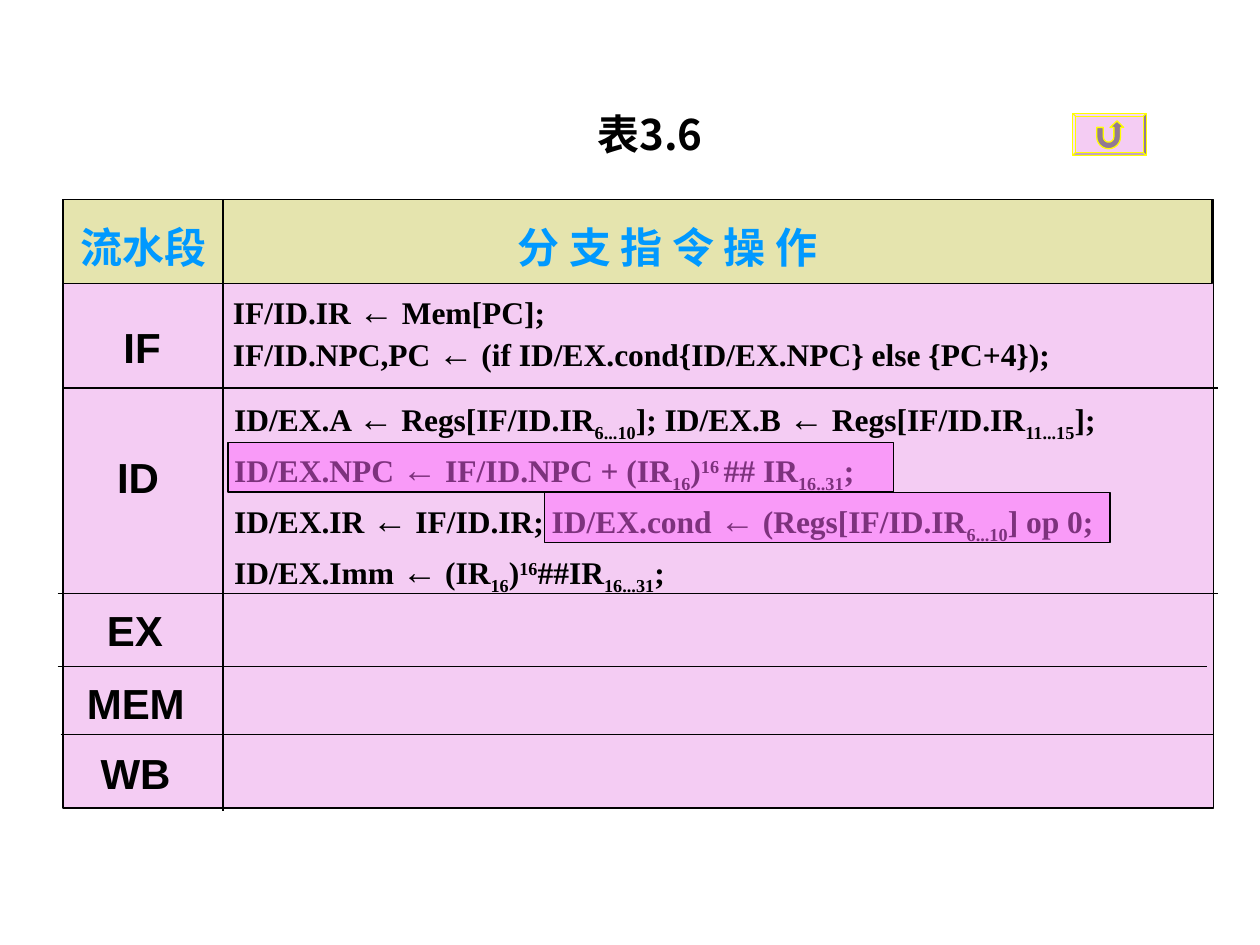
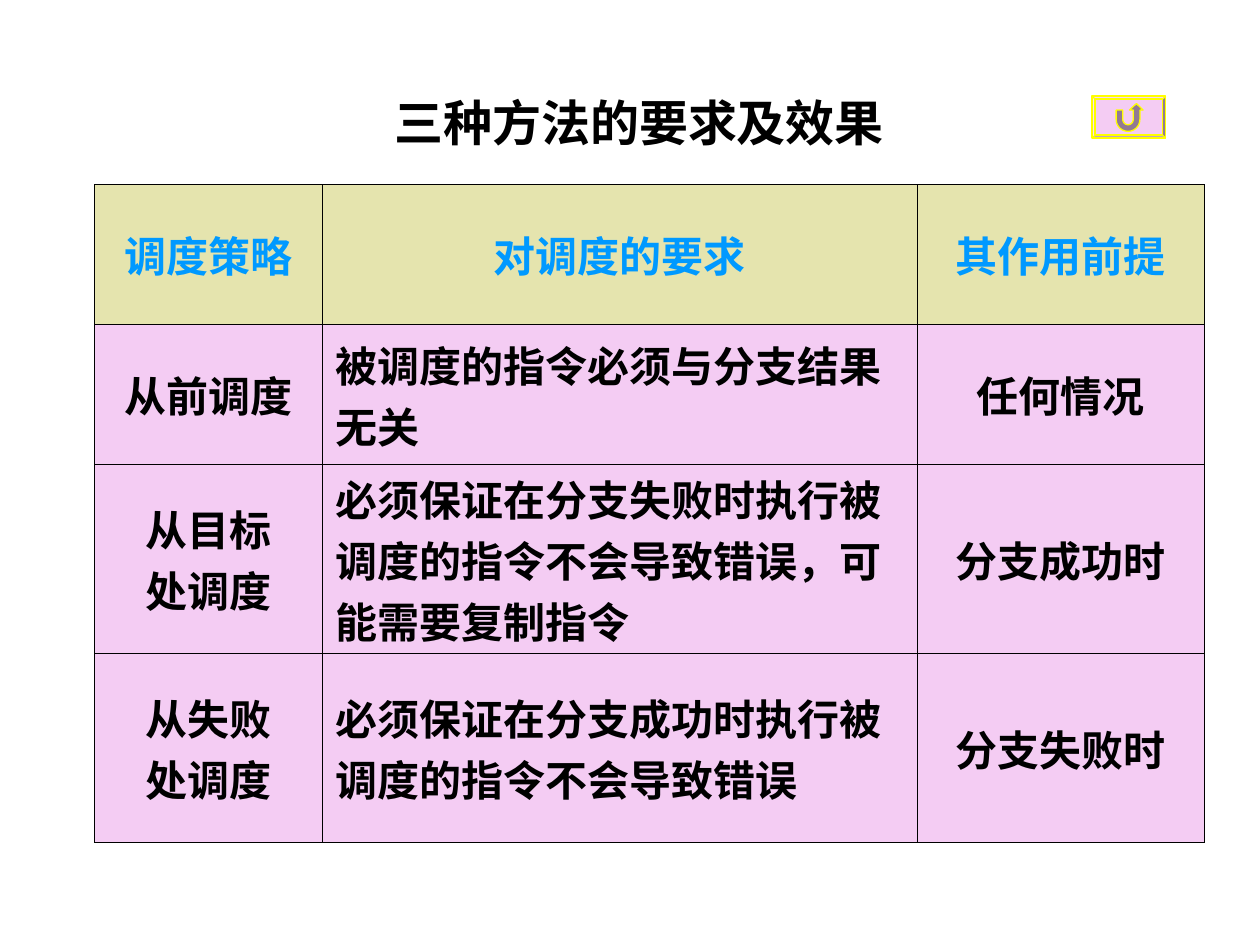
import math
from lxml import etree
from pptx import Presentation, oxml
from pptx.dml.color import RGBColor
from pptx.enum import shapes, text
from pptx.oxml.ns import qn
from pptx.util import Pt

BLACK = RGBColor(0x00, 0x00, 0x00)
BLUE = RGBColor(0x00, 0x99, 0xFF)
PINK = RGBColor(0xF4, 0xCC, 0xF3)
KHAKI = RGBColor(0xE5, 0xE4, 0xAE)
MAGENTA = RGBColor(0xFF, 0x66, 0xFF)
YELLOW = RGBColor(0xFF, 0xFF, 0x00)
GREY = RGBColor(0x92, 0x7A, 0x92)
CJK = "Noto Sans CJK SC"

LABEL = {"name": "Arial", "size": Pt(24), "bold": True}
HEAD = {"name": CJK, "size": Pt(24), "bold": True}
CODE = {"name": "Times New Roman", "size": Pt(18), "bold": True}
CELL = {"name": "DejaVu Sans", "size": Pt(24), "bold": True}
CELL_WIDE = {**CELL, "name": "Times New Roman"}
LEFT, CENTER = text.PP_ALIGN.LEFT, text.PP_ALIGN.CENTER


def write(tf, lines, fmt, color=BLACK, align=LEFT, spacing=1.0):
    for i, line in enumerate(lines):
        p = tf.paragraphs[0] if i == 0 else tf.add_paragraph()
        p.alignment, p.line_spacing = align, spacing
        p.space_before = Pt(0)
        for piece in line.split("|"):
            if piece == "\n":
                p.add_line_break()
                continue
            r = p.add_run()
            r.text = piece.lstrip("_^")
            for key, value in fmt.items():
                setattr(r.font, key, value)
            r.font.color.rgb = color
            rpr = r.font._element
            etree.SubElement(rpr, qn("a:ea")).set("typeface", CJK)
            if piece == "←":
                r.font.size = Pt(20)
            if piece[0] in "_^":
                rpr.set("baseline", "-25000" if piece[0] == "_" else "30000")


def style(sp, fill, line):
    sp.shadow.inherit = False
    sp.fill.solid()
    sp.fill.fore_color.rgb = fill
    sp.line.color.rgb = line
    sp.line.width = Pt(0.75)


prs = Presentation()
prs.slide_width, prs.slide_height = Pt(720), Pt(540)

pages = [
    ("表3.6", (195.8, 58.3, 351.4, 36), 24, CENTER, (613, 64.8)),
    ("三种方法的要求及效果", (218.2, 49, 334.8, 41), 28, LEFT, (624.1, 54.9)),
]
slides = []
for title, box, size, align, (bx, by) in pages:
    s = prs.slides.add_slide(prs.slide_layouts[5])
    slides.append(s)
    sp = s.shapes.title
    sp.left, sp.top, sp.width, sp.height = map(Pt, box)
    tf = sp.text_frame
    tf.word_wrap = True
    tf.auto_size = text.MSO_AUTO_SIZE.NONE
    tf.vertical_anchor = text.MSO_ANCHOR.TOP
    write(tf, [title], {**HEAD, "size": Pt(size)}, align=align)

    sp = s.shapes.add_shape(shapes.MSO_SHAPE.BEVEL, Pt(bx), Pt(by), Pt(42), Pt(24))
    sp.adjustments[0] = 0.07
    style(sp, PINK, YELLOW)
    cx, cy, outer, inner = bx + 20.5, by + 13.4, 6.8, 3
    arcs = [
        [(cx + d * rad * math.cos(math.pi * k / 12), cy + rad * math.sin(math.pi * k / 12))
         for k in range(13)]
        for d, rad in ((-1, inner), (1, outer))
    ]
    top = by + 8
    arrow = [(cx - outer, top), (cx - inner, top), *arcs[0], (cx + inner, top),
             (cx + 0.8, top), (cx + 4.8, by + 4.3), (cx + 8.6, top),
             (cx + outer, top), *arcs[1]]
    points = [(Pt(x), Pt(y)) for x, y in arrow]
    fb = s.shapes.build_freeform(*points[0])
    fb.add_line_segments(points[1:], close=True)
    style(fb.convert_to_shape(), GREY, YELLOW)

s = slides[0]
for fill, box in [
    (PINK, (36, 114, 657.4, 347.8)),
    (KHAKI, (36, 114, 92.9, 48.2)),
    (KHAKI, (127.4, 114, 565.2, 48.2)),
]:
    style(s.shapes.add_shape(shapes.MSO_SHAPE.RECTANGLE, *map(Pt, box)), fill, BLACK)

for ends in [
    (36, 221.8, 696, 221.8),
    (33, 339.1, 696, 339.1),
    (33, 380.9, 689.8, 380.9),
    (34.6, 419.8, 693.4, 419.8),
    (127.4, 162, 127.4, 463.7),
]:
    c = s.shapes.add_connector(shapes.MSO_CONNECTOR.STRAIGHT, *map(Pt, ends))
    c.line.color.rgb = BLACK
    c.line.width = Pt(0.75)
    etree.SubElement(c._element.spPr, qn("a:effectLst"))

fetch = [
    "IF/ID.IR |←| Mem[PC];",
    "IF/ID.NPC,PC |←| (if ID/EX.cond{ID/EX.NPC} else {PC+4});",
]
decode = [
    "ID/EX.A |←| Regs[IF/ID.IR|_6...10|]; ID/EX.B |←| Regs[IF/ID.IR|_11...15|];|\n|"
    "ID/EX.NPC |←| IF/ID.NPC + (IR|_16|)|^16 |## IR|_16..31|;|\n|"
    "ID/EX.IR |←| IF/ID.IR; ID/EX.cond |←| (Regs[IF/ID.IR|_6...10|] op 0;|\n|"
    "ID/EX.Imm |←| (IR|_16|)|^16|##IR|_16...31|;"
]
for lines, box, fmt, color, spacing in [
    (["流水段"], (38.9, 123.1, 120.2, 36), HEAD, BLUE, 1.0),
    (["分 支 指 令 操 作"], (288.7, 123.1, 224.6, 36), HEAD, BLUE, 1.0),
    (["IF"], (63.4, 180, 79, 36), LABEL, BLACK, 1.0),
    (["ID"], (59.8, 254.2, 79, 36), LABEL, BLACK, 1.0),
    (["EX"], (54, 342, 79, 36), LABEL, BLACK, 1.0),
    (["MEM"], (42.5, 383.8, 79, 36), LABEL, BLACK, 1.0),
    (["WB"], (50.4, 423.4, 79, 36), LABEL, BLACK, 1.0),
    (fetch, (126, 162, 540, 55.4), CODE, BLACK, 1.0),
    (decode, (126.7, 220.3, 581.8, 123.8), CODE, BLACK, 1.1),
]:
    tf = s.shapes.add_textbox(*map(Pt, box)).text_frame
    tf.word_wrap = True
    write(tf, lines, fmt, color, spacing=spacing)

for box in [(130.3, 252.7, 380.2, 28.5), (311, 281.5, 323.3, 28.5)]:
    sp = s.shapes.add_shape(shapes.MSO_SHAPE.RECTANGLE, *map(Pt, box))
    style(sp, MAGENTA, BLACK)
    color = sp._element.spPr.find(qn("a:solidFill"))[0]
    etree.SubElement(color, qn("a:alpha")).set("val", "49000")

s = slides[1]
rows = [
    (["调度策略"], ["对调度的要求"], ["其作用前提"]),
    (["从前调度"], ["被调度的指令必须与分支结果无关"], ["任何情况"]),
    (["从目标", "处调度"],
     ["必须保证在分支失败时执行被调度的指令不会导致错误，可能需要复制指令"], ["分支成功时"]),
    (["从失败", "处调度"], ["必须保证在分支成功时执行被调度的指令不会导致错误"], ["分支失败时"]),
]
widths, heights = (130.3, 339.8, 164.2), (80, 80, 108, 108)
tbl = s.shapes.add_table(4, 3, Pt(54), Pt(105.5), Pt(sum(widths)), Pt(sum(heights))).table
tbl.first_row = tbl.horz_banding = False
for col, width in zip(tbl.columns, widths):
    col.width = Pt(width)
for row, height in zip(tbl.rows, heights):
    row.height = Pt(height)
for i, row in enumerate(rows):
    for j, lines in enumerate(row):
        cell = tbl.cell(i, j)
        cell.vertical_anchor = text.MSO_ANCHOR.MIDDLE
        cell.margin_top = cell.margin_bottom = Pt(1.5)
        tcpr = cell._tc.get_or_add_tcPr()
        for side in ("L", "R", "T", "B"):
            ln = etree.SubElement(tcpr, qn("a:ln" + side), w=str(Pt(0.45)))
            fill = etree.SubElement(ln, qn("a:solidFill"))
            etree.SubElement(fill, qn("a:srgbClr"), val=str(BLACK))
        cell.fill.solid()
        cell.fill.fore_color.rgb = PINK if i else KHAKI
        wide = i > 0 and j == 1
        fmt = HEAD if i == 0 else CELL_WIDE if wide and i > 1 else CELL
        write(cell.text_frame, lines, fmt, BLACK if i else BLUE, LEFT if wide else CENTER)

prs.save("out.pptx")
